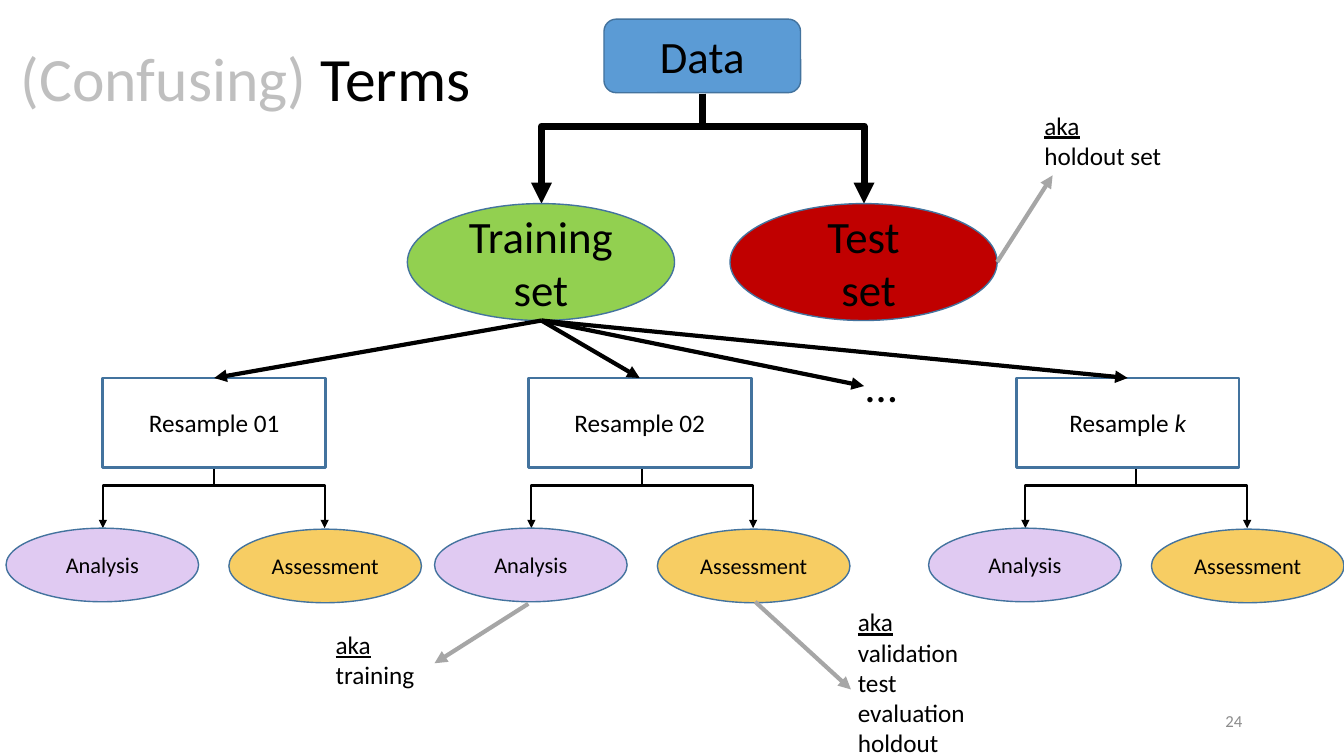
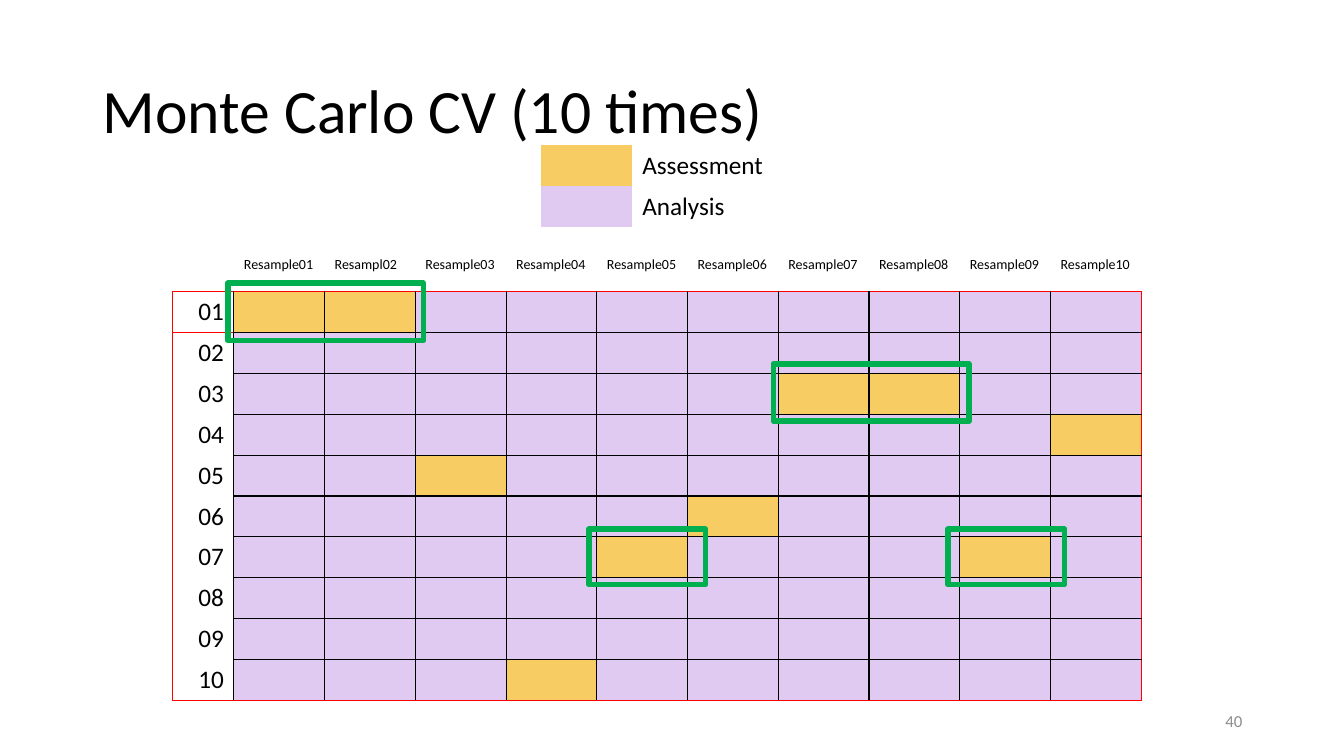
"""Build two slides on resampling terms and Monte Carlo cross-validation."""
from dataclasses import dataclass
from typing import Optional, Sequence, Union

from lxml.etree import SubElement
from pptx import Presentation
from pptx.dml.color import RGBColor
from pptx.enum.shapes import MSO_CONNECTOR, MSO_SHAPE
from pptx.enum.text import MSO_ANCHOR, PP_ALIGN
from pptx.oxml.ns import qn
from pptx.util import Emu, Pt

EMU_PER_PX = 9144
FONT = "Calibri"
BLACK, GREY, PALE_GREY, FOOTER_GREY = "000000", "A6A6A6", "BFBFBF", "8C8C8C"
OUTLINE, BLUE, LIME, DARK_RED = "43739E", "5B9BD5", "92D050", "C00000"
ANALYSIS, ASSESSMENT = "E0CAF2", "F7CD63"
RED, GREEN = "FF0000", "00B050"
RECTANGLE, ELLIPSE = MSO_SHAPE.RECTANGLE, MSO_SHAPE.OVAL
ROUNDED = MSO_SHAPE.ROUNDED_RECTANGLE
STRAIGHT, ELBOW = MSO_CONNECTOR.STRAIGHT, MSO_CONNECTOR.ELBOW
LEFT, CENTER, RIGHT = PP_ALIGN.LEFT, PP_ALIGN.CENTER, PP_ALIGN.RIGHT
TOP, MIDDLE = MSO_ANCHOR.TOP, MSO_ANCHOR.MIDDLE
PLAIN_TABLE = "{2D5ABB26-0587-4C30-8999-92F81FD0307C}"
TOP_SIDE = 0


@dataclass(frozen=True)
class Run:
    text: str
    color: Optional[str] = None
    italic: bool = False
    underline: bool = False


@dataclass(frozen=True)
class Box:
    left: int
    top: int
    width: int
    height: int


@dataclass(frozen=True)
class Resample:
    label: Sequence[Run]
    box_left: int
    analysis_left: int


@dataclass(frozen=True)
class Alias:
    names: Sequence[str]
    box: Box
    start: tuple[int, int]
    end: tuple[int, int]


Line = Union[str, Sequence[Run]]

RESAMPLES = (
    Resample([Run("Resample 01")], 102, 6),
    Resample([Run("Resample 02")], 524, 431),
    Resample([Run("Resample "), Run("k", italic=True)], 1008, 921),
)
ALIASES = (
    Alias(["holdout set"], Box(1026, 104, 232, 101), (989, 260), (1044, 174)),
    Alias(["validation", "test", "evaluation", "holdout"],
          Box(841, 597, 232, 192), (749, 597), (844, 684)),
    Alias(["training"], Box(323, 619, 232, 101), (524, 599), (431, 658)),
)
HEADERS = ("Resample01", "Resampl02",
           *(f"Resample{number:02}" for number in range(3, 11)))
ASSESSED = {(1, 1), (1, 2), (3, 7), (3, 8), (4, 10), (5, 3), (6, 6),
            (7, 5), (7, 9), (10, 4)}
HIGHLIGHTS = (Box(226, 281, 194, 57), Box(767, 361, 194, 57),
              Box(940, 525, 116, 55), Box(584, 525, 116, 55))


def px(length: float) -> Emu:
    """Convert px to EMU."""
    return Emu(round(length * EMU_PER_PX))


def rgb(color: str) -> RGBColor:
    """Convert a hex string to a colour."""
    return RGBColor.from_string(color)


def place(box: Box) -> tuple[Emu, Emu, Emu, Emu]:
    """Return a box as EMU lengths."""
    return px(box.left), px(box.top), px(box.width), px(box.height)


def write_text(frame, lines: Sequence[Line], *, size: int, color: str = BLACK,
               align=LEFT, anchor=TOP, spacing: Optional[float] = None) -> None:
    """Fill a text frame, one paragraph for each line."""
    frame.word_wrap = True
    frame.vertical_anchor = anchor
    for index, line in enumerate(lines):
        paragraph = frame.paragraphs[0] if index == 0 else frame.add_paragraph()
        paragraph.alignment = align
        if spacing:
            paragraph.line_spacing = spacing
        for part in [Run(line)] if isinstance(line, str) else line:
            run = paragraph.add_run()
            run.text = part.text
            run.font.name = FONT
            run.font.size = Pt(size)
            run.font.italic = part.italic
            run.font.underline = part.underline
            run.font.color.rgb = rgb(part.color or color)


def add_text(slide, box: Box, lines: Sequence[Line], **text_format) -> None:
    """Add a text box."""
    write_text(slide.shapes.add_textbox(*place(box)).text_frame, lines,
               **text_format)


def add_node(slide, kind, box: Box, lines: Sequence[Line] = (), *,
             fill: Optional[str] = None, line: str = OUTLINE,
             weight: float = 1, size: int = 32):
    """Add a preset shape with centred text."""
    shape = slide.shapes.add_shape(kind, *place(box))
    shape.shadow.inherit = False
    if fill:
        shape.fill.solid()
        shape.fill.fore_color.rgb = rgb(fill)
    else:
        shape.fill.background()
    shape.line.color.rgb = rgb(line)
    shape.line.width = Pt(weight)
    write_text(shape.text_frame, lines, size=size, align=CENTER, anchor=MIDDLE)
    return shape


def add_arrow(slide, kind, start: tuple[float, float], end: tuple[float, float],
              *, color: str = BLACK, weight: float = 3):
    """Add a connector with an arrowhead at its end."""
    connector = slide.shapes.add_connector(
        kind, *(px(value) for value in (*start, *end)))
    connector.line.color.rgb = rgb(color)
    connector.line.width = Pt(weight)
    properties = connector.element.spPr
    SubElement(properties.find(qn("a:ln")), qn("a:tailEnd"), type="triangle")
    SubElement(properties, qn("a:effectLst"))
    return connector


def add_fork(slide, start: tuple[int, int], ends: Sequence[tuple[int, int]],
             weight: float) -> None:
    """Add elbow arrows that run down, across and down to each end."""
    for end in ends:
        drop, spread = end[1] - start[1], abs(end[0] - start[0])
        left = (start[0] + end[0] - drop) / 2
        top = (start[1] + end[1] - spread) / 2
        goes_left = end[0] < start[0]
        near, far = (left, left + drop) if goes_left else (left + drop, left)
        connector = add_arrow(slide, ELBOW, (near, top), (far, top + spread),
                              weight=weight)
        properties = connector.element.spPr
        turn = 90 if goes_left else 270
        properties.find(qn("a:xfrm")).set("rot", str(turn * 60000))
        geometry = properties.find(qn("a:prstGeom"))
        adjustments = geometry.find(qn("a:avLst"))
        if adjustments is None:
            adjustments = SubElement(geometry, qn("a:avLst"))
        SubElement(adjustments, qn("a:gd"), name="adj1", fmla="val 29400")


def add_plain_table(slide, box: Box, rows: int, widths: Sequence[int]):
    """Add a table without style, with equal row heights."""
    frame = slide.shapes.add_table(rows, len(widths), *place(box))
    table = frame.table
    table.first_row = table.horz_banding = False
    next(frame.element.iter(qn("a:tableStyleId"))).text = PLAIN_TABLE
    for row in table.rows:
        row.height = px(box.height / rows)
    for column, width in zip(table.columns, widths):
        column.width = px(width)
    return table


def fill_cell(cell, color: Optional[str]) -> None:
    """Fill a cell, or leave it clear."""
    if color:
        cell.fill.solid()
        cell.fill.fore_color.rgb = rgb(color)
    else:
        cell.fill.background()


def set_borders(cell, **colors: Optional[str]) -> None:
    """Draw the named cell sides, given in the order L, R, T, B."""
    properties = cell._tc.get_or_add_tcPr()
    for side, color in colors.items():
        if color:
            line = SubElement(properties, qn(f"a:ln{side}"), w=str(Pt(1)))
            solid = SubElement(line, qn("a:solidFill"))
            SubElement(solid, qn("a:srgbClr"), val=color)


def start_slide(presentation, title: Line, left: int, top: int, number: int):
    """Add a blank slide with its title and number."""
    slide = presentation.slides.add_slide(presentation.slide_layouts[6])
    add_text(slide, Box(left, top, 1150, 145), [title], size=44, anchor=MIDDLE,
             spacing=0.9)
    add_text(slide, Box(942, 695, 300, 40), [str(number)], size=12,
             color=FOOTER_GREY, align=RIGHT, anchor=MIDDLE)
    return slide


def build_terms(presentation) -> None:
    """Build the tree of data splits and their other names."""
    title = [Run("(Confusing)", PALE_GREY), Run(" Terms")]
    slide = start_slide(presentation, title, 11, 8, 24)
    add_node(slide, ROUNDED, Box(599, 19, 195, 73), ["Data"], fill=BLUE)
    add_fork(slide, (697, 93), [(537, 202), (857, 202)], 5)
    add_node(slide, ELLIPSE, Box(404, 202, 265, 116), ["Training set"], fill=LIME)
    add_node(slide, ELLIPSE, Box(724, 202, 265, 116), ["Test", " set"],
             fill=DARK_RED)
    split = (537, 318)
    for resample in RESAMPLES:
        left = resample.analysis_left
        add_fork(slide, (left + 206, 464), [(left + 96, 524), (left + 316, 524)],
                 1.5)
        add_node(slide, ELLIPSE, Box(left, 524, 191, 73), ["Analysis"],
                 fill=ANALYSIS, size=16)
        add_node(slide, ELLIPSE, Box(left + 221, 525, 191, 73), ["Assessment"],
                 fill=ASSESSMENT, size=16)
        box = Box(resample.box_left, 375, 221, 89)
        node = add_node(slide, RECTANGLE, box, [resample.label], weight=2, size=18)
        arrow = add_arrow(slide, STRAIGHT, split, (box.left + 110, box.top))
        arrow.end_connect(node, TOP_SIDE)
    add_text(slide, Box(849, 350, 129, 64), ["…"], size=32)
    add_arrow(slide, STRAIGHT, split, (857, 383))
    for alias in ALIASES:
        add_arrow(slide, STRAIGHT, alias.start, alias.end, color=GREY)
        add_text(slide, alias.box, [[Run("aka", underline=True)], *alias.names],
                 size=18)


def build_monte_carlo(presentation) -> None:
    """Build the grid of resamples with its legend and highlights."""
    slide = start_slide(presentation, "Monte Carlo CV (10 times)", 92, 40, 40)
    last = len(HEADERS)
    grid = add_plain_table(slide, Box(171, 249, 961, 446), last + 1,
                           [61] + [90] * last)
    for row in range(last + 1):
        for column in range(last + 1):
            cell = grid.cell(row, column)
            inner = BLACK if column else None
            if row == 0:
                set_borders(cell, B=RED)
                fill_cell(cell, None)
                if column:
                    write_text(cell.text_frame, [HEADERS[column - 1]], size=10)
                continue
            set_borders(cell, L=BLACK if column else RED,
                        R=RED if column == last else BLACK,
                        T=RED if row == 1 else inner,
                        B=RED if row == last else inner)
            if column:
                fill_cell(cell, ASSESSMENT if (row, column) in ASSESSED
                          else ANALYSIS)
            else:
                fill_cell(cell, None)
                write_text(cell.text_frame, [f"{row:02}"], size=18, align=RIGHT)
    legend = add_plain_table(slide, Box(537, 144, 230, 81), 2, [90, 140])
    for row, (label, color) in enumerate((("Assessment", ASSESSMENT),
                                          ("Analysis", ANALYSIS))):
        fill_cell(legend.cell(row, 0), color)
        fill_cell(legend.cell(row, 1), None)
        write_text(legend.cell(row, 1).text_frame, [label], size=18)
    for box in HIGHLIGHTS:
        add_node(slide, RECTANGLE, box, line=GREEN, weight=4)


def main() -> None:
    """Build and save the presentation."""
    presentation = Presentation()
    presentation.slide_width, presentation.slide_height = px(1333), px(750)
    build_terms(presentation)
    build_monte_carlo(presentation)
    presentation.save("out.pptx")


if __name__ == "__main__":
    main()
